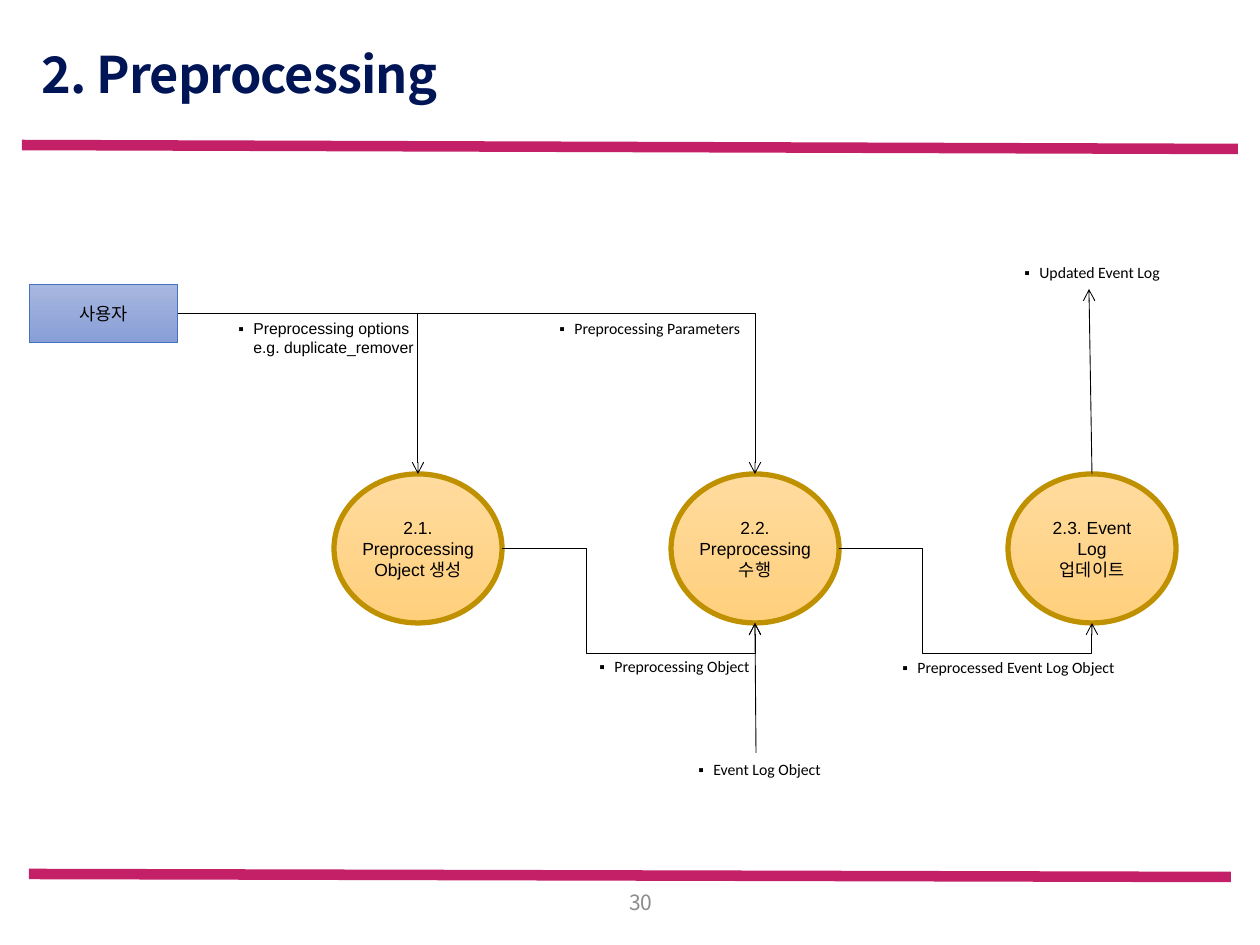
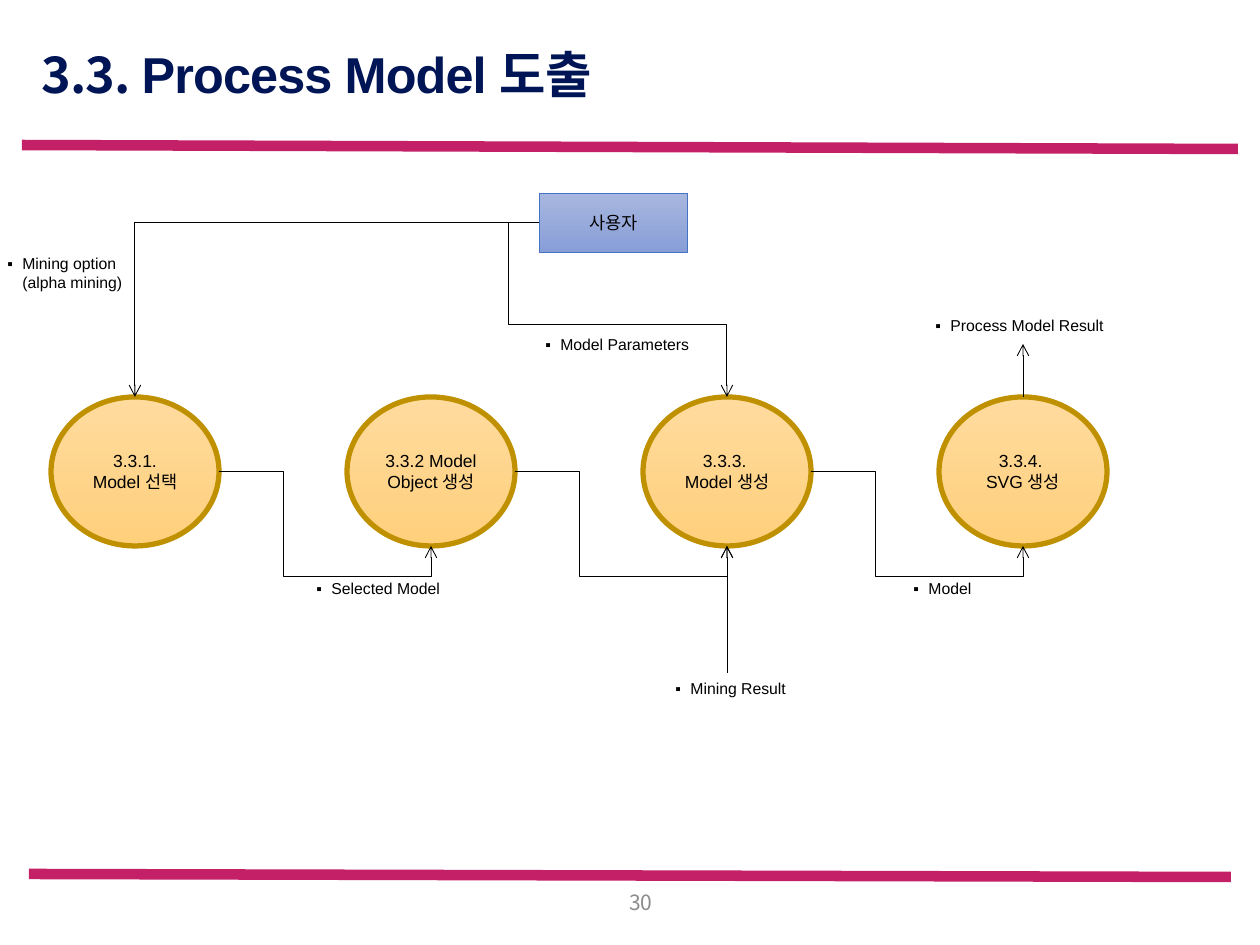
from dataclasses import dataclass
from typing import NamedTuple, Optional, Union

import lxml.etree
import pptx
import pptx.dml.color
import pptx.enum.shapes
import pptx.enum.text
import pptx.oxml.ns
import pptx.util

PX = 914400 / 126
KOREAN = "Noto Sans CJK KR"
COLORS = {
    "band": "C42067",
    "title": "001555",
    "page": "8C8C8C",
    "ink": "000000",
    "step_top": "FFDB9E",
    "step_bottom": "FFD07C",
    "step_edge": "BF9000",
    "user_top": "A8B7DF",
    "user_bottom": "889ED7",
    "user_edge": "4472C4",
}
SHAPES = pptx.enum.shapes.MSO_SHAPE
CONNECTORS = pptx.enum.shapes.MSO_CONNECTOR
ALIGN = pptx.enum.text.PP_ALIGN
AUTO_SIZE = pptx.enum.text.MSO_AUTO_SIZE
MIDDLE = pptx.enum.text.MSO_ANCHOR.MIDDLE
STEP_W, STEP_H = 168, 149
USER_W, USER_H = 149, 59
RAIL_DROP = 31
SIDES = ["top", "left", "bottom", "right"]


class Point(NamedTuple):
    x: int
    y: int


class Joint(NamedTuple):
    node: Union[int, str]
    side: str


class Words(NamedTuple):
    text: str
    font: str


@dataclass
class Label:
    left: int
    top: int
    width: int
    lines: list[str]
    font: str = "Arial"


@dataclass
class Flow:
    start: Union[Point, Joint]
    end: Union[Point, Joint]
    bent: bool = False
    turn: Optional[Point] = None


@dataclass
class Diagram:
    title: list[Words]
    user: Point
    first_step: Point
    step_gap: int
    steps: list[list[str]]
    tight_steps: int
    flows: list[Flow]
    labels: list[Label]


def emu(px: float) -> int:
    return round(px * PX)


def box(left: int, top: int, width: int, height: int) -> list[int]:
    return [emu(v) for v in (left, top, width, height)]


def rgb(name: str) -> pptx.dml.color.RGBColor:
    return pptx.dml.color.RGBColor.from_string(COLORS[name])


def child(parent, tag: str, **attributes: str):
    return lxml.etree.SubElement(parent, pptx.oxml.ns.qn(tag), **attributes)


def add_run(paragraph, words: Words, size: float, color: str):
    run = paragraph.add_run()
    run.text = words.text
    run.font.size = pptx.util.Pt(size)
    run.font.name = words.font
    run.font.color.rgb = rgb(color)
    child(run.font._element, "a:ea", typeface=KOREAN)
    return run


def draw_line(slide, start: Point, end: Point, color: str, width: float, kind=CONNECTORS.STRAIGHT):
    line = slide.shapes.add_connector(kind, emu(start.x), emu(start.y), emu(end.x), emu(end.y))
    line.line.color.rgb = rgb(color)
    line.line.width = pptx.util.Pt(width)
    child(line.element.spPr, "a:effectLst")
    return line


def draw_frame(slide, title: list[Words]) -> None:
    draw_line(slide, Point(22, 145), Point(1238, 149), "band", 6)
    draw_line(slide, Point(29, 874), Point(1231, 877), "band", 6)

    heading = slide.shapes.title
    heading.left, heading.top, heading.width, heading.height = box(29, 50, 1186, 54)
    heading.text_frame.auto_size = AUTO_SIZE.NONE
    heading.text_frame.vertical_anchor = MIDDLE
    paragraph = heading.text_frame.paragraphs[0]
    paragraph.alignment = ALIGN.LEFT
    paragraph.line_spacing = 0.9
    for words in title:
        run = add_run(paragraph, words, 28.8, "title")
        run.font.bold = True
        run.font._element.set("spc", "-50")

    page = slide.shapes.add_textbox(*box(591, 888, 74, 28)).text_frame
    page.word_wrap = True
    page.vertical_anchor = MIDDLE
    page.paragraphs[0].alignment = ALIGN.RIGHT
    add_run(page.paragraphs[0], Words("30", KOREAN), 12, "page")


def draw_node(slide, preset, frame: list[int], role: str, edge: float, lines: list[str]):
    node = slide.shapes.add_shape(preset, *frame)
    node.shadow.inherit = False
    node.fill.gradient()
    node.fill.gradient_angle = 270
    for stop, part in zip(node.fill.gradient_stops, ("top", "bottom")):
        stop.color.rgb = rgb(f"{role}_{part}")
    node.line.color.rgb = rgb(f"{role}_edge")
    node.line.width = pptx.util.Pt(edge)
    node.text_frame.word_wrap = True
    node.text_frame.vertical_anchor = MIDDLE
    for i, text in enumerate(lines):
        paragraph = node.text_frame.add_paragraph() if i else node.text_frame.paragraphs[0]
        paragraph.alignment = ALIGN.CENTER
        add_run(paragraph, Words(text, "Arial"), 10, "ink")
    return node


def draw_label(slide, label: Label) -> None:
    height = 50 if len(label.lines) > 1 else 31
    frame = slide.shapes.add_textbox(*box(label.left, label.top, label.width, height)).text_frame
    frame.word_wrap = False
    frame.auto_size = AUTO_SIZE.SHAPE_TO_FIT_TEXT
    paragraph = frame.paragraphs[0]
    bullet = paragraph._p.get_or_add_pPr()
    bullet.set("marL", str(emu(24)))
    bullet.set("indent", str(emu(-15)))
    child(bullet, "a:buFont", typeface="Arial")
    child(bullet, "a:buChar", char="▪")
    for i, text in enumerate(label.lines):
        if i:
            paragraph.add_line_break()
        add_run(paragraph, Words(text, label.font), 9, "ink")


def locate(spot: Union[Point, Joint], diagram: Diagram) -> Point:
    if isinstance(spot, Point):
        return spot
    if spot.node == "user":
        corner, width, height = diagram.user, USER_W, USER_H
    else:
        corner = Point(diagram.first_step.x + spot.node * diagram.step_gap, diagram.first_step.y)
        width, height = STEP_W, STEP_H
    across = {"left": 0, "right": width}.get(spot.side, width // 2)
    down = {"top": 0, "bottom": height}.get(spot.side, height // 2)
    return Point(corner.x + across, corner.y + down)


def join(link, joint: Joint, nodes: dict, at_start: bool) -> None:
    node = nodes[joint.node]
    site = SIDES.index(joint.side)
    if joint.node == "user":
        (link.begin_connect if at_start else link.end_connect)(node, site)
        return
    ends = link.element.nvCxnSpPr.cNvCxnSpPr
    anchor = ends.get_or_add_stCxn() if at_start else ends.get_or_add_endCxn()
    anchor.id, anchor.idx = node.shape_id, site * 2


def draw_flow(slide, flow: Flow, diagram: Diagram, nodes: dict) -> None:
    start, end = locate(flow.start, diagram), locate(flow.end, diagram)
    kind = CONNECTORS.ELBOW if flow.bent else CONNECTORS.STRAIGHT
    link = draw_line(slide, start, end, "ink", 0.5, kind)
    child(link.line._get_or_add_ln(), "a:tailEnd", type="arrow")
    for spot, at_start in ((flow.start, True), (flow.end, False)):
        if isinstance(spot, Joint):
            join(link, spot, nodes, at_start)
    if flow.bent:
        geometry = link.element.spPr.find(pptx.oxml.ns.qn("a:prstGeom"))
        geometry.set("prst", "bentConnector4" if flow.turn else "bentConnector2")
        if flow.turn:
            guides = geometry.find(pptx.oxml.ns.qn("a:avLst"))
            shares = (
                (flow.turn.x - start.x) / (end.x - start.x),
                (flow.turn.y - start.y) / (end.y - start.y),
            )
            for i, share in enumerate(shares, 1):
                child(guides, "a:gd", name=f"adj{i}", fmla=f"val {round(share * 100000)}")


def draw_diagram(slide, diagram: Diagram) -> None:
    draw_frame(slide, diagram.title)
    user_frame = box(*diagram.user, USER_W, USER_H)
    nodes = {"user": draw_node(slide, SHAPES.RECTANGLE, user_frame, "user", 0.5, ["사용자"])}
    for i, lines in enumerate(diagram.steps):
        left = diagram.first_step.x + i * diagram.step_gap
        frame = box(left, diagram.first_step.y, STEP_W, STEP_H)
        nodes[i] = draw_node(slide, SHAPES.OVAL, frame, "step", 3, lines)
        if i < diagram.tight_steps:
            nodes[i].text_frame.margin_left = nodes[i].text_frame.margin_right = 0
    for flow in diagram.flows:
        draw_flow(slide, flow, diagram, nodes)
    for label in diagram.labels:
        draw_label(slide, label)


def handovers(first: Point, gap: int, count: int, reach: int) -> list[Flow]:
    rail = first.y + STEP_H + RAIL_DROP
    return [
        Flow(Joint(i, "right"), Joint(i + 1, "bottom"), True,
             Point(first.x + i * gap + STEP_W + reach, rail))
        for i in range(count - 1)
    ]


PREPROCESSING_START, PREPROCESSING_GAP = Point(334, 474), 337
MODEL_START, MODEL_GAP = Point(51, 397), 296

DIAGRAMS = [
    Diagram(
        title=[Words("2. Preprocessing", KOREAN)],
        user=Point(29, 284),
        first_step=PREPROCESSING_START,
        step_gap=PREPROCESSING_GAP,
        steps=[["2.1. Preprocessing Object 생성"], ["2.2. Preprocessing 수행"], ["2.3. Event Log 업데이트"]],
        tight_steps=2,
        flows=handovers(PREPROCESSING_START, PREPROCESSING_GAP, 3, 84) + [
            Flow(Joint("user", "right"), Joint(0, "top"), True),
            Flow(Joint("user", "right"), Joint(1, "top"), True),
            Flow(Point(756, 753), Joint(1, "bottom")),
            Flow(Joint(2, "top"), Point(1089, 289)),
        ],
        labels=[
            Label(217, 313, 210, ["Preprocessing options", "e.g. duplicate_remover"]),
            Label(538, 313, 218, ["Preprocessing Parameters"], "Calibri"),
            Label(578, 651, 186, ["Preprocessing Object"], "Calibri"),
            Label(1003, 257, 171, ["Updated Event Log"], "Calibri"),
            Label(677, 754, 159, ["Event Log Object"], "Calibri"),
            Label(881, 652, 257, ["Preprocessed Event Log Object"], "Calibri"),
        ],
    ),
    Diagram(
        title=[Words("3.3. ", KOREAN), Words("Process Model 도출", "Arial")],
        user=Point(539, 193),
        first_step=MODEL_START,
        step_gap=MODEL_GAP,
        steps=[["3.3.1. Model 선택"], ["3.3.2 Model Object 생성"], ["3.3.3. ", "Model 생성"], ["3.3.4. ", "SVG 생성"]],
        tight_steps=0,
        flows=handovers(MODEL_START, MODEL_GAP, 4, 64) + [
            Flow(Joint("user", "left"), Joint(0, "top"), True),
            Flow(Joint("user", "left"), Joint(2, "top"), True, Point(508, 324)),
            Flow(Point(727, 673), Joint(2, "bottom")),
            Flow(Joint(3, "top"), Point(1023, 344)),
        ],
        labels=[
            Label(-14, 248, 150, ["Mining option", "(alpha mining)"]),
            Label(654, 673, 146, ["Mining Result"]),
            Label(295, 573, 159, ["Selected Model"]),
            Label(892, 573, 92, ["Model"]),
            Label(524, 329, 179, ["Model Parameters"]),
            Label(914, 310, 209, ["Process Model Result"]),
        ],
    ),
]


def main() -> None:
    deck = pptx.Presentation()
    deck.slide_width, deck.slide_height = emu(1260), emu(945)
    for diagram in DIAGRAMS:
        draw_diagram(deck.slides.add_slide(deck.slide_layouts[5]), diagram)
    deck.save("out.pptx")


if __name__ == "__main__":
    main()
